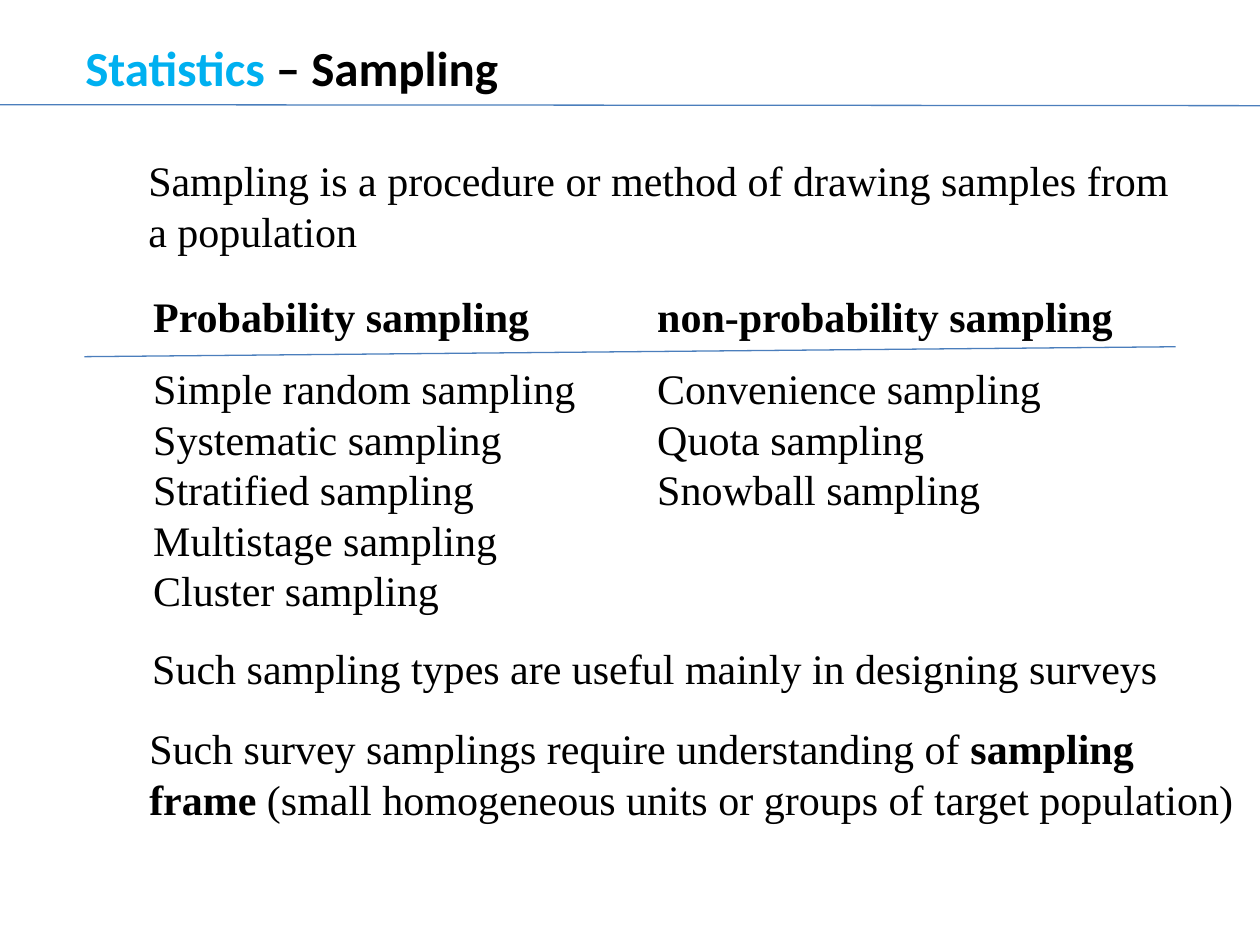
"""Build a slide that introduces probability and non-probability sampling."""
from dataclasses import dataclass

from lxml.etree import SubElement
from pptx import Presentation
from pptx.dml.color import RGBColor
from pptx.enum.shapes import MSO_CONNECTOR
from pptx.enum.text import MSO_AUTO_SIZE
from pptx.oxml.ns import qn
from pptx.util import Cm, Pt


@dataclass(frozen=True)
class Theme:
    ink: RGBColor = RGBColor(0x00, 0x00, 0x00)
    accent: RGBColor = RGBColor(0x00, 0xB0, 0xF0)
    rule: RGBColor = RGBColor(0x4B, 0x7E, 0xBC)
    title_font: str = "Calibri"
    body_font: str = "Times New Roman"
    title_size: Pt = Pt(28)
    body_size: Pt = Pt(24)
    rule_width: Pt = Pt(0.75)


theme = Theme()
second_column = Cm(10.16)


def add_text(page, place, lines, font=theme.body_font, size=theme.body_size):
    box = page.shapes.add_textbox(*(Cm(length) for length in place))
    frame = box.text_frame
    frame.word_wrap = True
    frame.auto_size = MSO_AUTO_SIZE.SHAPE_TO_FIT_TEXT
    for index, line in enumerate(lines):
        para = frame.add_paragraph() if index else frame.paragraphs[0]
        for text, bold, color in line:
            span = para.add_run()
            span.text = text
            span.font.name = font
            span.font.size = size
            span.font.bold = bold
            span.font.color.rgb = color
        if any("\t" in text for text, bold, color in line):
            tabs = SubElement(para._p.get_or_add_pPr(), qn("a:tabLst"))
            SubElement(tabs, qn("a:tab"), pos=str(second_column), algn="l")


def add_rule(page, ends):
    rule = page.shapes.add_connector(MSO_CONNECTOR.STRAIGHT, *(Cm(length) for length in ends))
    rule.line.color.rgb = theme.rule
    rule.line.width = theme.rule_width
    SubElement(rule._element.spPr, qn("a:effectLst"))


deck = Presentation()
deck.slide_width = Cm(25.4)
deck.slide_height = Cm(19.05)
page = deck.slides.add_slide(deck.slide_layouts[6])

add_rule(page, (0, 2.11, 25.4, 2.13))
add_text(
    page,
    (1.47, 0.64, 16.51, 1.45),
    [[("Statistics ", True, theme.accent), ("– Sampling", True, theme.ink)]],
    theme.title_font,
    theme.title_size,
)

definition = "Sampling is a procedure or method of drawing samples from a population"
add_text(page, (2.74, 3, 21.39, 2.31), [[(definition, False, theme.ink)]])

headings = "Probability sampling\tnon-probability sampling"
add_text(page, (2.84, 5.74, 21.39, 1.3), [[(headings, True, theme.ink)]])
add_rule(page, (1.7, 7.19, 23.7, 6.99))

methods = [
    "Simple random sampling\tConvenience sampling",
    "Systematic sampling\tQuota sampling",
    "Stratified sampling\tSnowball sampling",
    "Multistage sampling",
    "Cluster sampling",
]
add_text(page, (2.84, 7.19, 21.39, 5.38), [[(method, False, theme.ink)] for method in methods])

usage = "Such sampling types are useful mainly in designing surveys"
add_text(page, (2.82, 12.83, 22.58, 1.3), [[(usage, False, theme.ink)]])

requirement = [
    ("Such survey samplings require understanding of ", False, theme.ink),
    ("sampling frame", True, theme.ink),
    (" (small homogeneous units or groups of target population)", False, theme.ink),
]
add_text(page, (2.76, 14.45, 22.64, 2.31), [requirement])

deck.save("out.pptx")
